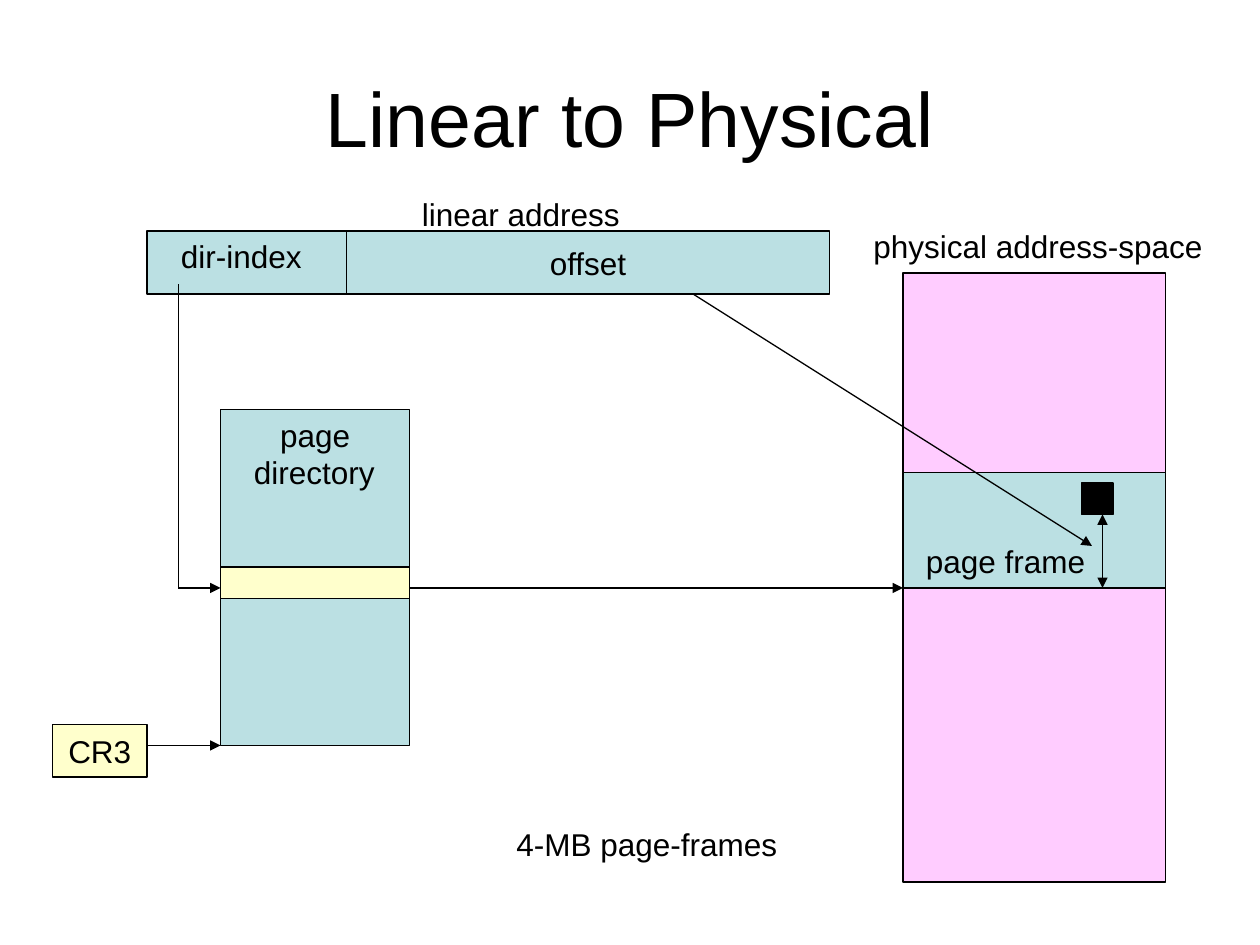
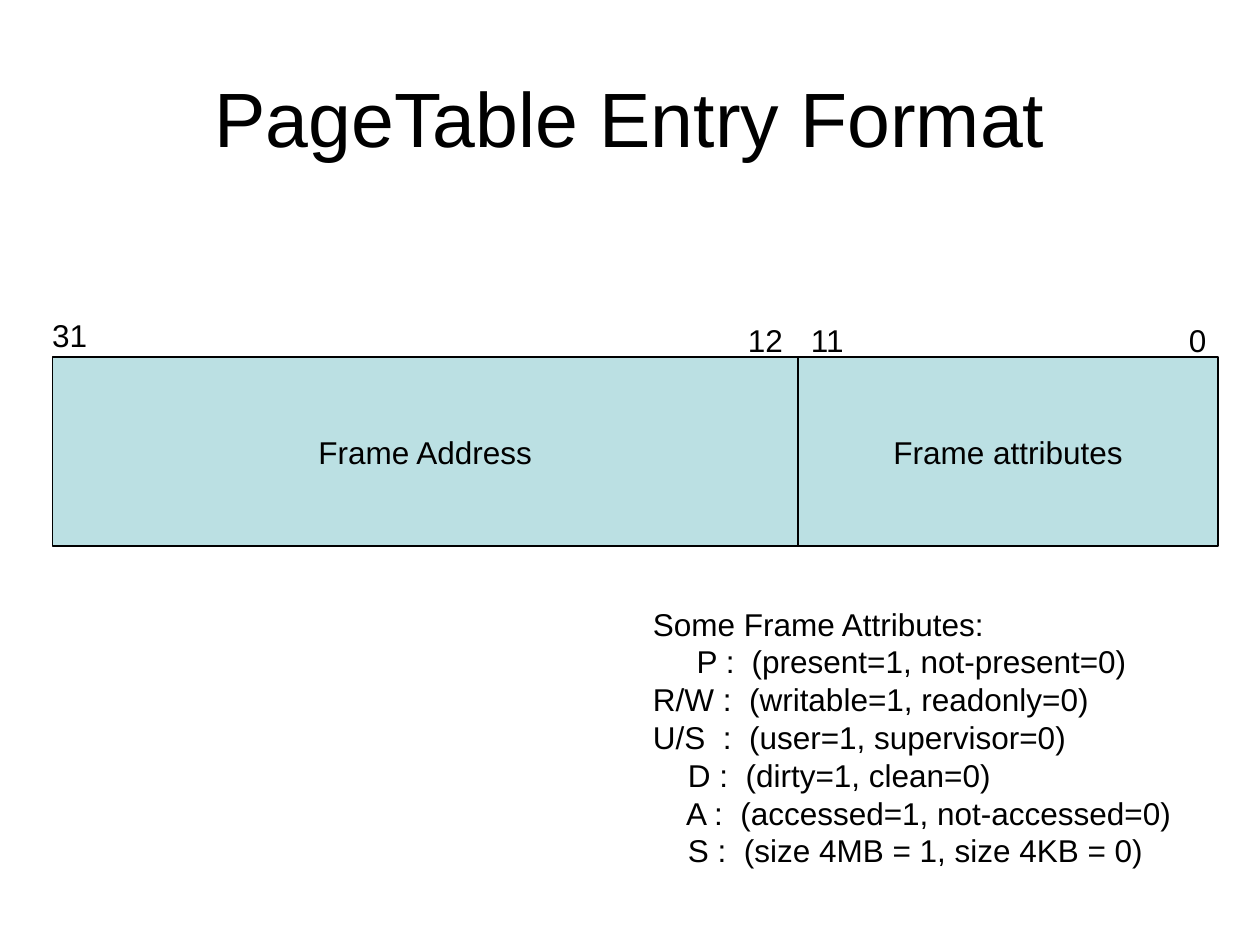
"""Builds two slides on page translation and the page table entry format."""
from dataclasses import dataclass

from lxml.etree import SubElement
from pptx import Presentation
from pptx.dml.color import RGBColor
from pptx.enum.shapes import MSO_CONNECTOR, MSO_SHAPE
from pptx.enum.text import MSO_ANCHOR, MSO_AUTO_SIZE, PP_ALIGN
from pptx.oxml.ns import qn
from pptx.util import Pt


@dataclass(frozen=True)
class Theme:
    black: RGBColor = RGBColor(0x00, 0x00, 0x00)
    teal: RGBColor = RGBColor(0xBB, 0xE0, 0xE3)
    pink: RGBColor = RGBColor(0xFF, 0xCC, 0xFF)
    cream: RGBColor = RGBColor(0xFF, 0xFF, 0xCC)
    font: str = "Arial"
    title_size: int = 44
    body_size: int = 18
    line_width: float = 0.75


THEME = Theme()
SLIDE_SIZE = (720, 540)
TITLE_FRAME = (36, 21.6, 648, 90)
FRAME_BOTTOM = 336
DIRECTORY_BASE = 426
INDEX_X = 102

TRANSLATION = {
    "title": "Linear to Physical",
    "boxes": [
        ((84, 132, 384, 36), THEME.teal, ""),
        ((516, 156, 150, 348), THEME.pink, ""),
        ((516, 270, 150, 66), THEME.teal, ""),
        ((618, 276, 18, 18), THEME.black, ""),
        ((198, 132, 276, 36), THEME.teal, "offset"),
        ((30, 414, 54, 30), THEME.cream, "CR3"),
        ((126, 234, 108, 192), THEME.teal, ""),
        ((126, 324, 108, 18), THEME.cream, ""),
    ],
    "lines": [
        ((630, 294), (630, FRAME_BOTTOM), ("headEnd", "tailEnd")),
        ((396, 168), (624, 312), ("tailEnd",)),
        ((84, DIRECTORY_BASE), (126, DIRECTORY_BASE), ("tailEnd",)),
        ((234, FRAME_BOTTOM), (516, FRAME_BOTTOM), ("tailEnd",)),
        ((294, 324), (294, 324), ("tailEnd",)),
        ((INDEX_X, FRAME_BOTTOM), (126, FRAME_BOTTOM), ("tailEnd",)),
        ((INDEX_X, FRAME_BOTTOM), (INDEX_X, 162), ()),
    ],
    "labels": [
        ((492, 126, 202.3, 29), [("physical address-space", ())]),
        ((234, 108, 127.4, 29), [("linear address", ())]),
        ((96.3, 132, 83.5, 29), [("dir-index", ())]),
        ((522, 306, 106, 29), [("page frame", ())]),
        ((138, 234, 83.5, 50.4), [("\tpage", (15,)), ("directory", ())]),
        ((288, 468, 163.4, 29), [("4-MB page-frames", ())]),
    ],
}

ATTRIBUTES = [
    ("Some Frame Attributes:", ()),
    ("\tP :\t(present=1, not-present=0)", (25, 56.5)),
    ("R/W :\t(writable=1, readonly=0)", (55,)),
    ("U/S\t:\t(user=1, supervisor=0)", (40, 55)),
    ("\tD :\t(dirty=1, clean=0)", (20, 53)),
    ("\tA :\t(accessed=1, not-accessed=0)", (19, 50)),
    ("\tS :\t(size 4MB = 1, size 4KB = 0)", (20, 52)),
]

ENTRY_FORMAT = {
    "title": "PageTable Entry Format",
    "boxes": [
        ((30, 204, 426, 108), THEME.teal, "Frame Address"),
        ((456, 204, 240, 108), THEME.teal, "Frame attributes"),
    ],
    "lines": [],
    "labels": [
        ((22.8, 177, 34.4, 29), [("31", ())]),
        ((420.3, 180, 34.4, 29), [("12", ())]),
        ((456.3, 180, 34.4, 29), [("11", ())]),
        ((672.3, 180, 24.4, 29), [("0", ())]),
        ((366, 342, 312.5, 158.4), ATTRIBUTES),
    ],
}


def points(values):
    return [Pt(value) for value in values]


def apply_format(target, values):
    for name, value in values.items():
        setattr(target, name, value)


def write_paragraph(paragraph, text, size, alignment, tab_stops=()):
    if tab_stops:
        tab_list = SubElement(paragraph._p.get_or_add_pPr(), qn("a:tabLst"))
        for position in points(tab_stops):
            SubElement(tab_list, qn("a:tab"), pos=str(position), algn="l")
    apply_format(paragraph, {"text": text, "alignment": alignment})
    apply_format(paragraph.font, {"name": THEME.font, "size": Pt(size)})
    paragraph.font.color.rgb = THEME.black


def style_line(line):
    line.color.rgb = THEME.black
    line.width = Pt(THEME.line_width)


def add_title(slide, text):
    title = slide.shapes.title
    apply_format(title, dict(zip(("left", "top", "width", "height"), points(TITLE_FRAME))))
    apply_format(title.text_frame, {
        "vertical_anchor": MSO_ANCHOR.MIDDLE, "auto_size": MSO_AUTO_SIZE.NONE, "word_wrap": True})
    write_paragraph(title.text_frame.paragraphs[0], text, THEME.title_size, PP_ALIGN.CENTER)


def add_box(slide, frame, fill, text):
    shape = slide.shapes.add_shape(MSO_SHAPE.RECTANGLE, *points(frame))
    shape.shadow.inherit = False
    shape.fill.solid()
    shape.fill.fore_color.rgb = fill
    style_line(shape.line)
    if text:
        apply_format(shape.text_frame, {"vertical_anchor": MSO_ANCHOR.MIDDLE, "word_wrap": False})
        write_paragraph(shape.text_frame.paragraphs[0], text, THEME.body_size, PP_ALIGN.CENTER)


def add_line(slide, start, end, arrowheads):
    connector = slide.shapes.add_connector(MSO_CONNECTOR.STRAIGHT, *points(start + end))
    style_line(connector.line)
    line_element = connector.line._get_or_add_ln()
    for arrowhead in arrowheads:
        SubElement(line_element, qn(f"a:{arrowhead}"), type="triangle")
    SubElement(connector._element.spPr, qn("a:effectLst"))


def add_label(slide, frame, rows):
    text_frame = slide.shapes.add_textbox(*points(frame)).text_frame
    apply_format(text_frame, {"word_wrap": False, "auto_size": MSO_AUTO_SIZE.SHAPE_TO_FIT_TEXT})
    for number, (text, tab_stops) in enumerate(rows):
        paragraph = text_frame.add_paragraph() if number else text_frame.paragraphs[0]
        write_paragraph(paragraph, text, THEME.body_size, PP_ALIGN.LEFT, tab_stops)


def main():
    presentation = Presentation()
    presentation.slide_width, presentation.slide_height = points(SLIDE_SIZE)
    title_only = presentation.slide_layouts.get_by_name("Title Only")
    for content in (TRANSLATION, ENTRY_FORMAT):
        slide = presentation.slides.add_slide(title_only)
        add_title(slide, content["title"])
        for box in content["boxes"]:
            add_box(slide, *box)
        for line in content["lines"]:
            add_line(slide, *line)
        for label in content["labels"]:
            add_label(slide, *label)
    presentation.save("out.pptx")


if __name__ == "__main__":
    main()
